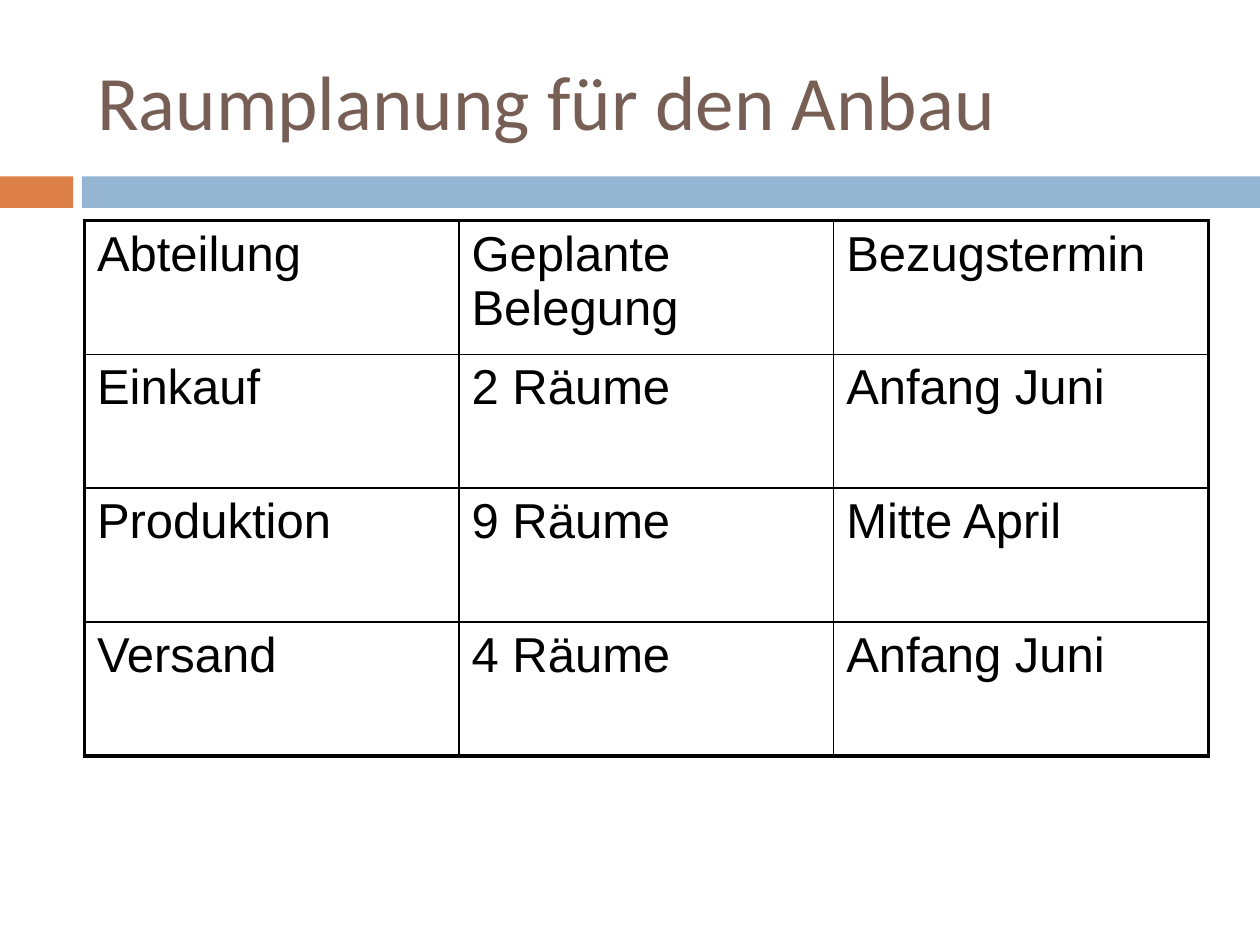
from lxml import etree
from pptx import Presentation
from pptx import util as u
from pptx.dml.color import RGBColor
from pptx.enum import shapes, text
from pptx.oxml.ns import qn

ORANGE = RGBColor(0xDD, 0x80, 0x47)
BLUE = RGBColor(0x94, 0xB6, 0xD2)
BROWN = RGBColor(0x77, 0x5F, 0x55)
BLACK = RGBColor(0, 0, 0)

WIDTH, HEIGHT = u.Inches(10), u.Inches(7.5)
LEFT, CONTENT_WIDTH = 0.67 / 10, 8.92 / 10
OUTER, INNER = 2.25, 1

ROWS = [
    ("Abteilung", "Geplante Belegung", "Bezugstermin"),
    ("Einkauf", "2 Räume", "Anfang Juni"),
    ("Produktion", "9 Räume", "Mitte April"),
    ("Versand", "4 Räume", "Anfang Juni"),
]


def write(tf, content, font="Arial", size=28, color=BLACK):
    p = tf.paragraphs[0]
    p.alignment = text.PP_ALIGN.LEFT
    r = p.add_run()
    r.text = content
    r.font.name, r.font.size = font, u.Pt(size)
    r.font.color.rgb = color


def set_borders(cell, widths):
    tcPr = cell._tc.get_or_add_tcPr()
    for i, (side, width) in enumerate(zip("LRTB", widths)):
        ln = etree.Element(qn(f"a:ln{side}"), w=str(u.Pt(width)))
        fill = etree.SubElement(ln, qn("a:solidFill"))
        etree.SubElement(fill, qn("a:srgbClr"), val=str(BLACK))
        tcPr.insert(i, ln)


class Deck:
    def __init__(self, prs):
        self.s = prs.slides.add_slide(prs.slide_layouts[5])

    def box(self, x, y, w, h):
        return int(x * WIDTH), int(y * HEIGHT), int(w * WIDTH), int(h * HEIGHT)

    def bar(self, x, y, w, h, color):
        sp = self.s.shapes.add_shape(shapes.MSO_SHAPE.RECTANGLE, *self.box(x, y, w, h))
        sp.shadow.inherit = False
        sp.fill.solid()
        sp.fill.fore_color.rgb = color
        sp.line.fill.background()

    def title(self, content, x, y, w, h):
        sp = self.s.shapes.title
        sp.left, sp.top, sp.width, sp.height = self.box(x, y, w, h)
        tf = sp.text_frame
        tf.auto_size = text.MSO_AUTO_SIZE.NONE
        tf.vertical_anchor = text.MSO_ANCHOR.MIDDLE
        write(tf, content, font="Calibri", size=44, color=BROWN)

    def table(self, rows, x, y, w, h):
        last_row, last_col = len(rows) - 1, len(rows[0]) - 1
        tbl = self.s.shapes.add_table(len(rows), len(rows[0]), *self.box(x, y, w, h)).table
        tbl.first_row = tbl.horz_banding = False
        for i, row in enumerate(rows):
            for j, content in enumerate(row):
                cell = tbl.cell(i, j)
                cell.fill.background()
                write(cell.text_frame, content)
                edges = (j == 0, j == last_col, i == 0, i == last_row)
                set_borders(cell, [OUTER if edge else INNER for edge in edges])


def main():
    prs = Presentation()
    prs.slide_width, prs.slide_height = WIDTH, HEIGHT
    deck = Deck(prs)
    bar_top, bar_height = 1.4 / 7.5, 0.25 / 7.5
    deck.bar(0, bar_top, 0.058, bar_height, ORANGE)
    deck.bar(0.065, bar_top, 0.935, bar_height, BLUE)
    deck.title("Raumplanung für den Anbau", LEFT, 0.25 / 7.5, CONTENT_WIDTH, 1.08 / 7.5)
    deck.table(ROWS, LEFT, 1.75 / 7.5, CONTENT_WIDTH, 4.25 / 7.5)
    prs.save("out.pptx")


if __name__ == "__main__":
    main()
